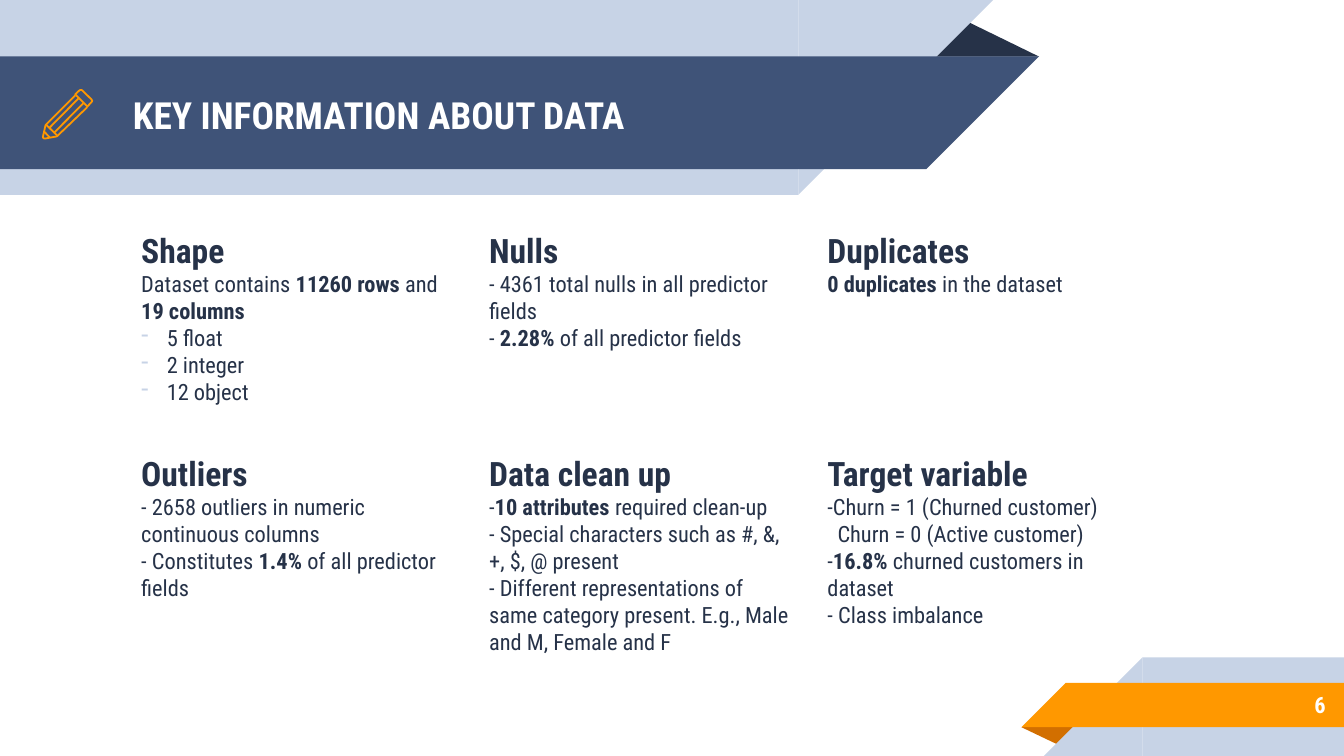
from dataclasses import dataclass

import pptx
import pptx.dml.color
import pptx.enum.shapes
import pptx.enum.text
import pptx.oxml
import pptx.oxml.ns
import pptx.util

Pt = pptx.util.Pt
Shape = pptx.enum.shapes.MSO_SHAPE
Align = pptx.enum.text.PP_ALIGN
Anchor = pptx.enum.text.MSO_ANCHOR


@dataclass(frozen=True)
class Theme:
    """Colours, font and type sizes of the slide."""
    font: str = "Roboto Condensed"
    white: str = "FFFFFF"
    ink: str = "263248"
    navy: str = "3F5378"
    pale: str = "C7D3E6"
    orange: str = "FF9800"
    rust: str = "D26F00"
    title: float = 20
    heading: float = 18
    body: float = 12


@dataclass(frozen=True)
class Block:
    """A filled preset shape of the ribbons, in points."""
    kind: Shape
    left: float
    top: float
    width: float
    height: float
    color: str
    rotation: float = 0


@dataclass(frozen=True)
class Line:
    """A paragraph; text between double asterisks is bold."""
    text: str
    indent: float = 0
    bullet: bool = False


@dataclass(frozen=True)
class Topic:
    """A heading with its lines."""
    heading: str
    lines: tuple[Line, ...]


@dataclass(frozen=True)
class Stroke:
    """One outline of the pencil icon, in points."""
    points: tuple[tuple[float, float], ...]
    closed: bool = False


THEME = Theme()
BULLET_INDENT = 13.7

BLOCKS = (
    Block(Shape.ISOSCELES_TRIANGLE, 495.4, 10.1, 61.2, 20.2, THEME.ink),
    Block(Shape.RECTANGLE, 0, 0, 427.7, 104.4, THEME.pale),
    Block(Shape.RIGHT_TRIANGLE, 427.7, 0, 104.4, 104.4, THEME.pale, 90),
    Block(Shape.RECTANGLE, 0, 30.2, 496.1, 60.5, THEME.navy),
    Block(Shape.RIGHT_TRIANGLE, 496.1, 30.2, 60.5, 60.5, THEME.navy, 90),
    Block(Shape.ISOSCELES_TRIANGLE, 547.2, 389.6, 31, 10, THEME.rust, 180),
    Block(Shape.RECTANGLE, 612, 352.2, 108, 52.8, THEME.pale),
    Block(Shape.RIGHT_TRIANGLE, 559.2, 352.2, 52.8, 52.8, THEME.pale, 270),
    Block(Shape.RECTANGLE, 571, 365.8, 149, 23.8, THEME.orange),
    Block(Shape.RIGHT_TRIANGLE, 547.2, 365.8, 23.8, 23.8, THEME.orange, 270),
)

PENCIL = (
    Stroke(((49, 53.3), (44, 48.4), (43.3, 48.2), (42.6, 48.4), (40.3, 50.6),
            (46.8, 57.1), (49, 54.8), (49.4, 54.1)), closed=True),
    Stroke(((44.6, 55.4), (28.8, 71.3))),
    Stroke(((40.3, 51.1), (24.6, 66.9), (24.4, 67.2), (23, 73.4), (23.3, 74),
            (23.8, 74.2), (24.3, 74.2), (30.3, 73.1), (30.7, 72.9), (46.8, 57.4))),
    Stroke(((26.6, 68.4), (42, 52.8))),
    Stroke(((26.6, 73.6), (23.8, 70.7))),
    Stroke(((24.5, 67), (24.9, 67), (30.7, 72.7), (30.4, 73))),
)

COLUMNS = (68.6, 255, 436.2)
ROWS = (116, 235.5)
TOPICS = (
    Topic("Shape", (
        Line("Dataset contains **11260 rows** and **19 columns**"),
        Line("5 float", BULLET_INDENT, True),
        Line("2 integer", BULLET_INDENT, True),
        Line("12 object", BULLET_INDENT, True))),
    Topic("Nulls", (
        Line("- 4361 total nulls in all predictor fields"),
        Line("- **2.28%** of all predictor fields"))),
    Topic("Duplicates", (Line("**0 duplicates** in the dataset"),)),
    Topic("Outliers", (
        Line("- 2658 outliers in numeric continuous columns"),
        Line("- Constitutes **1.4%** of all predictor fields"))),
    Topic("Data clean up", (
        Line("-**10 attributes** required clean-up"),
        Line("- Special characters such as #, &, +, $, @ present"),
        Line("- Different representations of same category present. "
             "E.g., Male and M, Female and F"))),
    Topic("Target variable", (
        Line("-Churn = 1 (Churned customer)"),
        Line("Churn = 0 (Active customer)", 5.4),
        Line("-**16.8%** churned customers in dataset"),
        Line("- Class imbalance"))),
)


def rgb(color: str) -> pptx.dml.color.RGBColor:
    """Turn a hex string into a colour."""
    return pptx.dml.color.RGBColor.from_string(color)


def draw_block(slide, block: Block) -> None:
    """Draw one filled part of a ribbon."""
    shape = slide.shapes.add_shape(block.kind, Pt(block.left), Pt(block.top),
                                   Pt(block.width), Pt(block.height))
    if block.kind == Shape.ISOSCELES_TRIANGLE:
        shape.adjustments[0] = 0.324
    shape.rotation = block.rotation
    shape.shadow.inherit = False
    shape.fill.solid()
    shape.fill.fore_color.rgb = rgb(block.color)
    shape.line.fill.background()


def draw_stroke(slide, stroke: Stroke) -> None:
    """Draw one outline of the pencil."""
    points = [(Pt(x), Pt(y)) for x, y in stroke.points]
    builder = slide.shapes.build_freeform(*points[0])
    builder.add_line_segments(points[1:], close=stroke.closed)
    shape = builder.convert_to_shape()
    shape.shadow.inherit = False
    shape.fill.background()
    shape.line.color.rgb = rgb(THEME.orange)
    shape.line.width = Pt(0.96)


def add_text_frame(slide, left: float, top: float, width: float, height: float,
                   anchor: Anchor = Anchor.TOP):
    """Add a wrapping text box and return its text frame."""
    text_frame = slide.shapes.add_textbox(Pt(left), Pt(top), Pt(width), Pt(height)).text_frame
    text_frame.word_wrap = True
    text_frame.vertical_anchor = anchor
    text_frame.margin_left = text_frame.margin_right = Pt(7.2)
    text_frame.margin_top = text_frame.margin_bottom = Pt(7.2)
    return text_frame


def write(paragraph, text: str, size: float, color: str) -> None:
    """Fill a paragraph, with bold runs between double asterisks."""
    for index, part in enumerate(text.split("**")):
        if part:
            run = paragraph.add_run()
            run.text = part
            run.font.name = THEME.font
            run.font.size = Pt(size)
            run.font.bold = index % 2 == 1
            run.font.color.rgb = rgb(color)


def set_indent(paragraph, line: Line) -> None:
    """Indent a paragraph and give it a pale dash if it is a list item."""
    properties = paragraph._p.get_or_add_pPr()
    properties.set("marL", str(Pt(line.indent)))
    if line.bullet:
        properties.set("indent", str(-Pt(line.indent)))
        namespace = pptx.oxml.ns.nsdecls("a")
        for xml in (f'<a:buClr {namespace}><a:srgbClr val="{THEME.pale}"/></a:buClr>',
                    f'<a:buChar {namespace} char="-"/>'):
            properties.append(pptx.oxml.parse_xml(xml))


def draw_topic(slide, topic: Topic, left: float, top: float) -> None:
    """Write a heading and its lines in one grid cell."""
    text_frame = add_text_frame(slide, left, top, 177, 119.5)
    heading = text_frame.paragraphs[0]
    heading.space_before = Pt(6)
    write(heading, f"**{topic.heading}**", THEME.heading, THEME.ink)
    for line in topic.lines:
        paragraph = text_frame.add_paragraph()
        set_indent(paragraph, line)
        write(paragraph, line.text, THEME.body, THEME.ink)


def main() -> None:
    """Build and save the slide."""
    presentation = pptx.Presentation()
    presentation.slide_width, presentation.slide_height = Pt(720), Pt(405)
    slide = presentation.slides.add_slide(presentation.slide_layouts[6])
    for block in BLOCKS:
        draw_block(slide, block)
    title = add_text_frame(slide, 64.1, 31, 414, 60.5, Anchor.MIDDLE).paragraphs[0]
    write(title, "**KEY INFORMATION ABOUT DATA**", THEME.title, THEME.white)
    for index, topic in enumerate(TOPICS):
        row, column = divmod(index, len(COLUMNS))
        draw_topic(slide, topic, COLUMNS[column], ROWS[row])
    number = add_text_frame(slide, 599.8, 365, 117.4, 25.2, Anchor.MIDDLE).paragraphs[0]
    number.alignment = Align.RIGHT
    write(number, "**6**", THEME.body, THEME.white)
    for stroke in PENCIL:
        draw_stroke(slide, stroke)
    presentation.save("out.pptx")


main()
